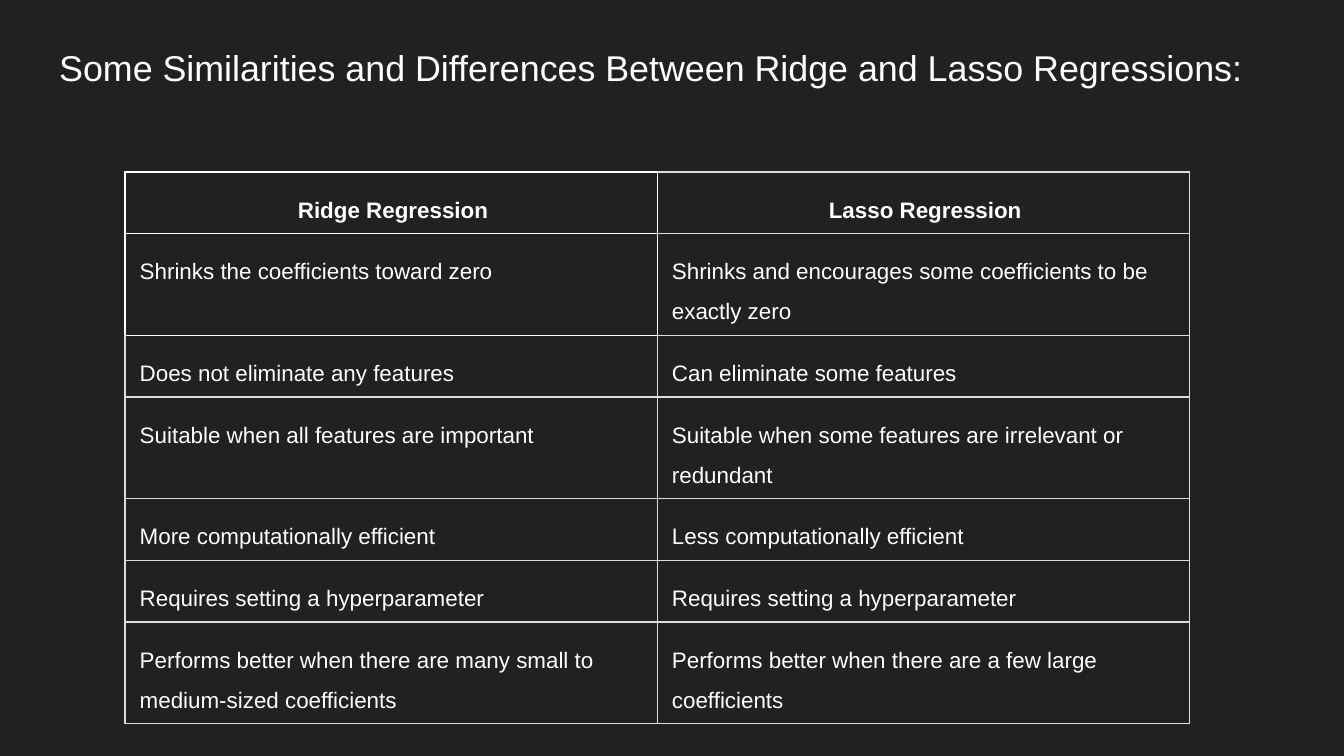
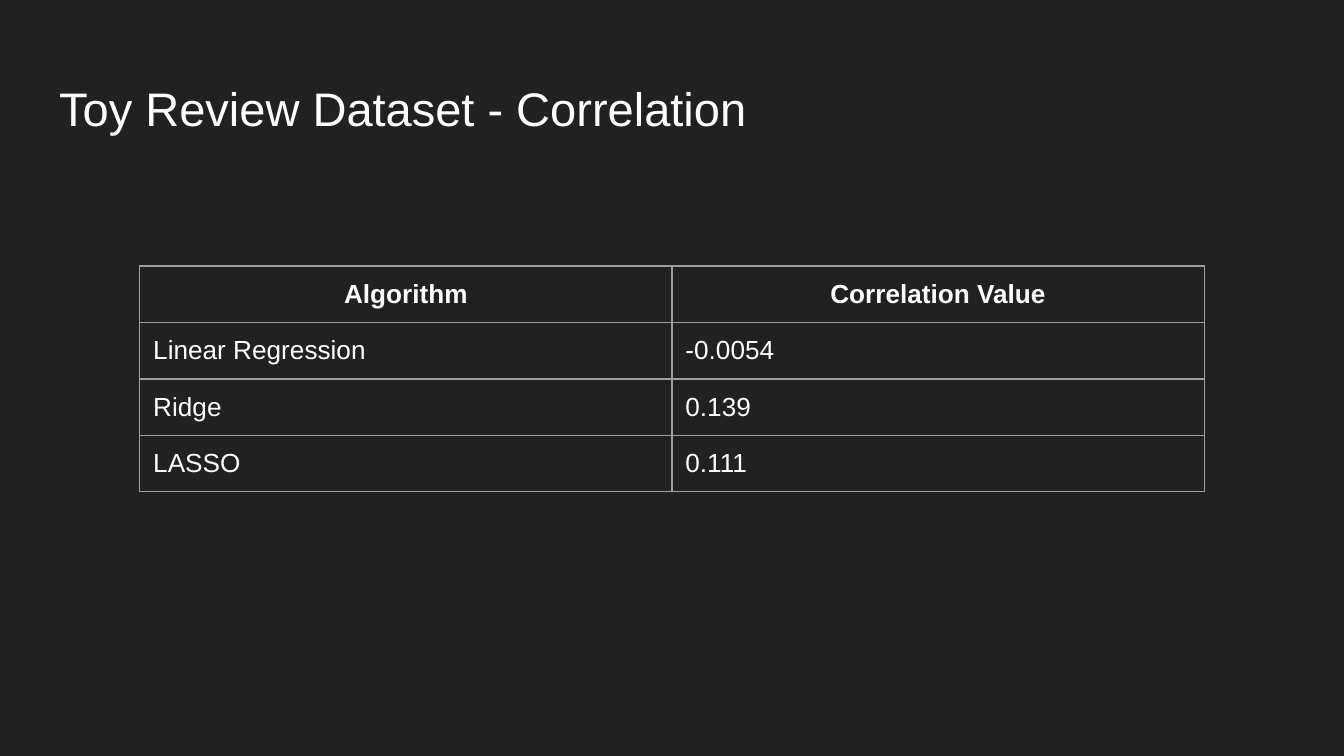
from dataclasses import dataclass

from lxml.etree import SubElement
from pptx import Presentation
from pptx.dml.color import RGBColor
from pptx.enum.text import MSO_ANCHOR, MSO_AUTO_SIZE, PP_ALIGN
from pptx.oxml.ns import qn
from pptx.util import Emu, Pt

EMU_PER_PX = 4572  # 200 px to the inch


def px(length: int) -> Emu:
    return Emu(length * EMU_PER_PX)


@dataclass(frozen=True)
class Theme:
    font: str = "Arial"
    background: str = "212121"
    text: str = "FFFFFF"
    accent_rule: str = "FFFFFF"
    light_rule: str = "DDDDDD"
    grey_rule: str = "9E9E9E"
    rule_width: float = 0.75
    long_title: float = 19.2
    short_title: float = 25.2
    small_cell: float = 12
    large_cell: float = 14


@dataclass(frozen=True)
class Title:
    text: str
    top: int
    height: int
    size: float


@dataclass(frozen=True)
class Comparison:
    left: int
    top: int
    rows: tuple[tuple[str, str], ...]
    size: float
    rule: str
    inset: int
    indent: int = 0
    line_spacing: float = 1.0
    space_before: float = 0
    space_after: float = 0
    header_anchor: MSO_ANCHOR = MSO_ANCHOR.TOP
    accented: frozenset[tuple[int, int]] = frozenset()  # (row, column)


THEME = Theme()
SLIDE_WIDTH, SLIDE_HEIGHT = 2000, 1125
TITLE_LEFT, TITLE_WIDTH, TITLE_INSET = 68, 1864, 20
COLUMN_WIDTH, ROW_HEIGHT = 792, 84
TITLE_ONLY = 5

# Border tag and the offset of the cell that shares that edge
EDGES = {"a:lnL": (0, -1), "a:lnR": (0, 1), "a:lnT": (-1, 0), "a:lnB": (1, 0)}

# Slide content
SLIDES = (
    (
        Title("Some Similarities and Differences Between Ridge and Lasso Regressions:",
              48, 116, THEME.long_title),
        Comparison(
            left=186, top=256, size=THEME.small_cell, rule=THEME.light_rule,
            inset=16, indent=6, line_spacing=1.6, space_before=2, space_after=8,
            header_anchor=MSO_ANCHOR.MIDDLE, accented=frozenset({(0, 0), (1, 0)}),
            rows=(
                ("Ridge Regression", "Lasso Regression"),
                ("Shrinks the coefficients toward zero",
                 "Shrinks and encourages some coefficients to be exactly zero"),
                ("Does not eliminate any features", "Can eliminate some features"),
                ("Suitable when all features are important",
                 "Suitable when some features are irrelevant or redundant"),
                ("More computationally efficient", "Less computationally efficient"),
                ("Requires setting a hyperparameter", "Requires setting a hyperparameter"),
                ("Performs better when there are many small to medium-sized coefficients",
                 "Performs better when there are a few large coefficients"),
            ),
        ),
    ),
    (
        Title("Toy Review Dataset - Correlation", 98, 126, THEME.short_title),
        Comparison(
            left=208, top=396, size=THEME.large_cell, rule=THEME.grey_rule, inset=20,
            rows=(
                ("Algorithm", "Correlation Value"),
                ("Linear Regression", "-0.0054"),
                ("Ridge", "0.139"),
                ("LASSO", "0.111"),
            ),
        ),
    ),
)


def add_run(paragraph, text: str, size: float, bold: bool = False) -> None:
    run = paragraph.add_run()
    run.text = text
    run.font.name = THEME.font
    run.font.size = Pt(size)
    run.font.bold = bold
    run.font.color.rgb = RGBColor.from_string(THEME.text)


def draw_title(slide, title: Title) -> None:
    heading = slide.shapes.title
    heading.left, heading.top = px(TITLE_LEFT), px(title.top)
    heading.width, heading.height = px(TITLE_WIDTH), px(title.height)
    frame = heading.text_frame
    frame.word_wrap = True
    frame.auto_size = MSO_AUTO_SIZE.NONE
    frame.vertical_anchor = MSO_ANCHOR.TOP
    frame.margin_left = frame.margin_right = px(TITLE_INSET)
    frame.margin_top = frame.margin_bottom = px(TITLE_INSET)
    frame.paragraphs[0].alignment = PP_ALIGN.LEFT
    add_run(frame.paragraphs[0], title.text, title.size)


def draw_borders(cell, row: int, column: int, comparison: Comparison) -> None:
    properties = cell._tc.get_or_add_tcPr()
    for position, (tag, (down, right)) in enumerate(EDGES.items()):
        touching = {(row, column), (row + down, column + right)}
        colour = THEME.accent_rule if touching & comparison.accented else comparison.rule
        line = SubElement(properties, qn(tag), w=str(Pt(THEME.rule_width)))
        SubElement(SubElement(line, qn("a:solidFill")), qn("a:srgbClr"), val=colour)
        properties.insert(position, line)  # borders come before the fill


def fill_cell(cell, text: str, is_header: bool, comparison: Comparison) -> None:
    cell.fill.background()
    cell.margin_left = cell.margin_right = px(comparison.inset)
    cell.margin_top = cell.margin_bottom = px(comparison.inset)
    cell.vertical_anchor = comparison.header_anchor if is_header else MSO_ANCHOR.TOP
    paragraph = cell.text_frame.paragraphs[0]
    paragraph.alignment = PP_ALIGN.CENTER if is_header else PP_ALIGN.LEFT
    paragraph.line_spacing = comparison.line_spacing
    paragraph.space_before = Pt(comparison.space_before)
    paragraph.space_after = Pt(comparison.space_after)
    paragraph._p.get_or_add_pPr().set("marL", str(px(comparison.indent)))
    add_run(paragraph, text, comparison.size, bold=is_header)


def draw_comparison(slide, comparison: Comparison) -> None:
    row_count, column_count = len(comparison.rows), len(comparison.rows[0])
    table = slide.shapes.add_table(
        row_count, column_count, px(comparison.left), px(comparison.top),
        px(column_count * COLUMN_WIDTH), px(row_count * ROW_HEIGHT),
    ).table
    table.first_row = table.horz_banding = False
    for row, texts in enumerate(comparison.rows):
        for column, text in enumerate(texts):
            cell = table.cell(row, column)
            fill_cell(cell, text, row == 0, comparison)
            draw_borders(cell, row, column, comparison)


def main() -> None:
    deck = Presentation()
    deck.slide_width, deck.slide_height = px(SLIDE_WIDTH), px(SLIDE_HEIGHT)

    # Shared dark background
    backdrop = deck.slide_master.background.fill
    backdrop.solid()
    backdrop.fore_color.rgb = RGBColor.from_string(THEME.background)

    for title, comparison in SLIDES:
        slide = deck.slides.add_slide(deck.slide_layouts[TITLE_ONLY])
        draw_title(slide, title)
        draw_comparison(slide, comparison)
    deck.save("out.pptx")


if __name__ == "__main__":
    main()
